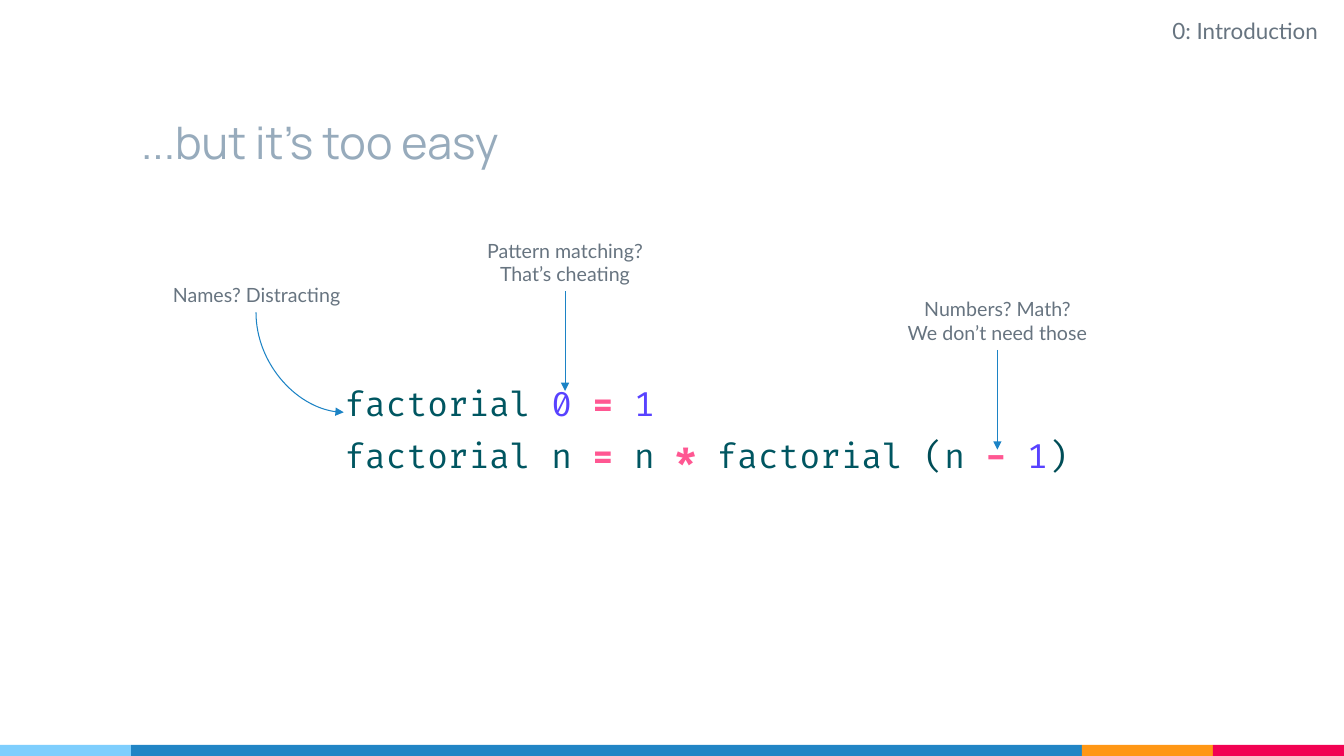
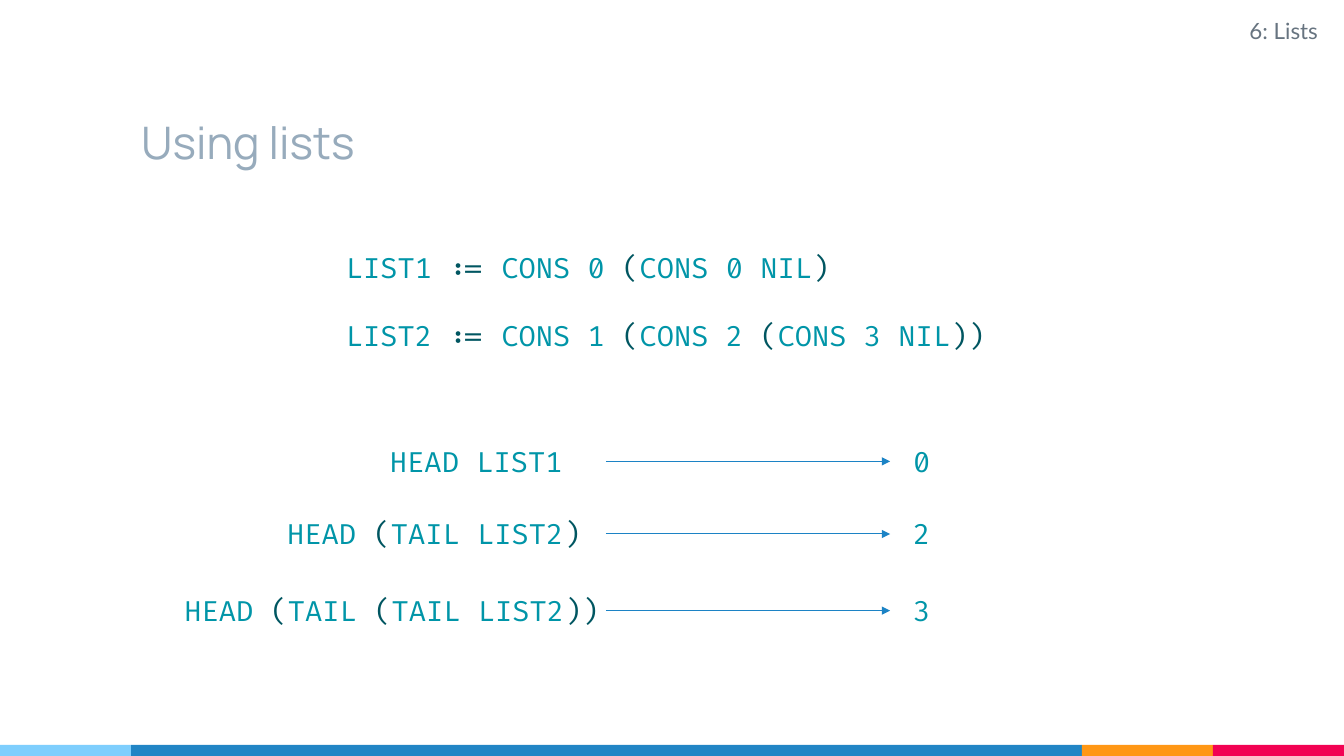
"""Build two lecture slides: an annotated code sample and list reductions."""
from itertools import cycle

from lxml.etree import SubElement
from pptx import Presentation
from pptx.dml.color import RGBColor
from pptx.enum.shapes import MSO_CONNECTOR, MSO_SHAPE
from pptx.enum.text import MSO_ANCHOR, PP_ALIGN
from pptx.oxml.ns import qn
from pptx.util import Inches, Pt

RECT = MSO_SHAPE.RECTANGLE
LINE, CURVE = MSO_CONNECTOR.STRAIGHT, MSO_CONNECTOR.CURVE
LEFT, MID, RIGHT = PP_ALIGN.LEFT, PP_ALIGN.CENTER, PP_ALIGN.RIGHT
TOP, BASE = MSO_ANCHOR.TOP, MSO_ANCHOR.BOTTOM


class Theme:
    ink = {
        "title": "97ABBC", "note": "677480", "arrow": "1C83C5",
        "name": "005661", "mark": "004D57", "num": "5842FF",
        "op": "FF5792", "term": "0095A8",
    }
    bands = ["7ECEFD", "2185C5", "FF9715", "F20253"]
    title = {
        "font": {"name": "Manrope", "size": Pt(32)},
        "para": {"alignment": LEFT},
        "frame": {"vertical_anchor": BASE, "margin_top": Inches(0.1), "margin_bottom": Inches(0.1)},
    }
    head = {
        "font": {"name": "Lato", "size": Pt(16)},
        "para": {"alignment": RIGHT},
        "frame": {"vertical_anchor": TOP, "margin_top": Inches(0.1)},
    }
    note = {
        "font": {"name": "Lato", "size": Pt(14)},
        "para": {"alignment": MID},
        "frame": {"vertical_anchor": TOP},
    }
    code = {
        "font": {"name": "Fira Code", "size": Pt(24)},
        "para": {"alignment": LEFT, "space_before": Pt(8)},
        "frame": {"vertical_anchor": TOP, "margin_top": Inches(0.1)},
    }
    term = {
        "font": {"name": "Fira Code", "size": Pt(20)},
        "para": {"alignment": LEFT, "space_before": Pt(24)},
        "frame": {"vertical_anchor": TOP},
    }


deck = Presentation()
deck.slide_width, deck.slide_height = Inches(13.33), Inches(7.5)
COL, ROW = deck.slide_width / 100, deck.slide_height / 100


def put(slide, box, lines, style, shape=None):
    shape = shape or slide.shapes.add_textbox(0, 0, 0, 0)
    for side, size, unit in zip(("left", "top", "width", "height"), box, (COL, ROW, COL, ROW)):
        setattr(shape, side, int(size * unit))
    frame = shape.text_frame
    frame.word_wrap = True
    for key, val in style["frame"].items():
        setattr(frame, key, val)
    for i, line in enumerate(lines):
        para = frame.add_paragraph() if i else frame.paragraphs[0]
        for key, val in style["para"].items():
            setattr(para, key, val)
        for text, ink in line:
            run = para.add_run()
            run.text = text
            for key, val in style["font"].items():
                setattr(run.font, key, val)
            run.font.bold = ink == "op"
            run.font.color.rgb = RGBColor.from_string(Theme.ink[ink])
    return shape


def link(slide, kind, x1, y1, x2, y2):
    wire = slide.shapes.add_connector(
        kind, int(x1 * COL), int(y1 * ROW), int(x2 * COL), int(y2 * ROW))
    wire.line.color.rgb = RGBColor.from_string(Theme.ink["arrow"])
    wire.line.width = Pt(0.75)
    SubElement(wire.get_or_add_ln(), qn("a:tailEnd")).set("type", "triangle")
    SubElement(wire.element.spPr, qn("a:effectLst"))
    return wire


layout = deck.slide_layouts[5]
for hold in list(layout.placeholders):
    if hold.placeholder_format.idx:
        hold.element.getparent().remove(hold.element)

EDGE, BODY = 9.75, 70.75
pages = []
for title, head in [("...but it’s too easy", "0: Introduction"), ("Using lists", "6: Lists")]:
    page = deck.slides.add_slide(layout)
    put(page, (EDGE, 6.93, BODY, 16.67), [[(title, "title")]], Theme.title, page.shapes.title)
    put(page, (EDGE + BODY, 0.93, 18.3, 6.13), [[(head, "note")]], Theme.head)
    pages.append(page)
intro, lists = pages

left = 0
for fill, wide in zip(Theme.bands, (EDGE, BODY, EDGE, EDGE)):
    band = intro.shapes.add_shape(
        RECT, int(left * COL), int(98.53 * ROW), int(wide * COL), int(1.47 * ROW))
    band.shadow.inherit = False
    band.fill.solid()
    band.fill.fore_color.rgb = RGBColor.from_string(fill)
    band.line.fill.background()
    layout.shapes.element.append(band.element)
    left += wide

put(intro, (24.9, 49.33, 60.4, 16.67), [
    [("factorial ", "name"), ("0 ", "num"), ("= ", "op"), ("1", "num")],
    [("factorial n ", "name"), ("=", "op"), (" n ", "name"), ("*", "op"),
     (" factorial ", "name"), ("(", "mark"), ("n ", "name"), ("- ", "op"),
     ("1", "num"), (")", "mark")],
], Theme.code)

NOTE, DROP = 15.23, 13.2
put(intro, (11.48, 36.8, NOTE, 4.53), [[("Names? Distracting", "note")]], Theme.note)
bend = link(intro, CURVE, 18.6, 42.13, 26.03, 53.73)
bend.element.spPr.find(qn("a:prstGeom")).set("prst", "curvedConnector2")
for key, val in {"rot": "16200000", "flipH": "1"}.items():
    bend.element.spPr.find(qn("a:xfrm")).set(key, val)

for x, y, lines in [
    (66.6, 38.67, ["Numbers? Math?", "We don’t need those"]),
    (34.43, 30.93, ["Pattern matching? That’s cheating"]),
]:
    note = put(intro, (x, y, NOTE, 7.6), [[(line, "note")] for line in lines], Theme.note)
    mid, low = x + NOTE / 2, y + 7.6
    link(intro, LINE, mid, low, mid, low + DROP).begin_connect(note, 2)

for box, lines in [
    ((25, 32.53, 50, 14.8), ["LIST1| := |CONS 0| (|CONS 0 NIL|)",
                             "LIST2| := |CONS 1| (|CONS 2| (|CONS 3 NIL|))"]),
    ((28.28, 58.13, 14.55, 5.87), ["HEAD LIST1"]),
    ((20.63, 67.73, 23.5, 5.87), ["HEAD| (|TAIL LIST2|)"]),
    ((12.98, 77.87, 32.4, 5.87), ["HEAD| (|TAIL| (|TAIL LIST2|))"]),
]:
    put(lists, box, [list(zip(line.split("|"), cycle(("term", "name")))) for line in lines],
        Theme.term)

for y, value in [(58.13, "0"), (67.73, "2"), (77.87, "3")]:
    put(lists, (67.2, y, 3.3, 5.87), [[(value, "term")]], Theme.term)
    link(lists, LINE, 45.08, y + 2.9, 66.23, y + 2.9)

deck.save("out.pptx")
